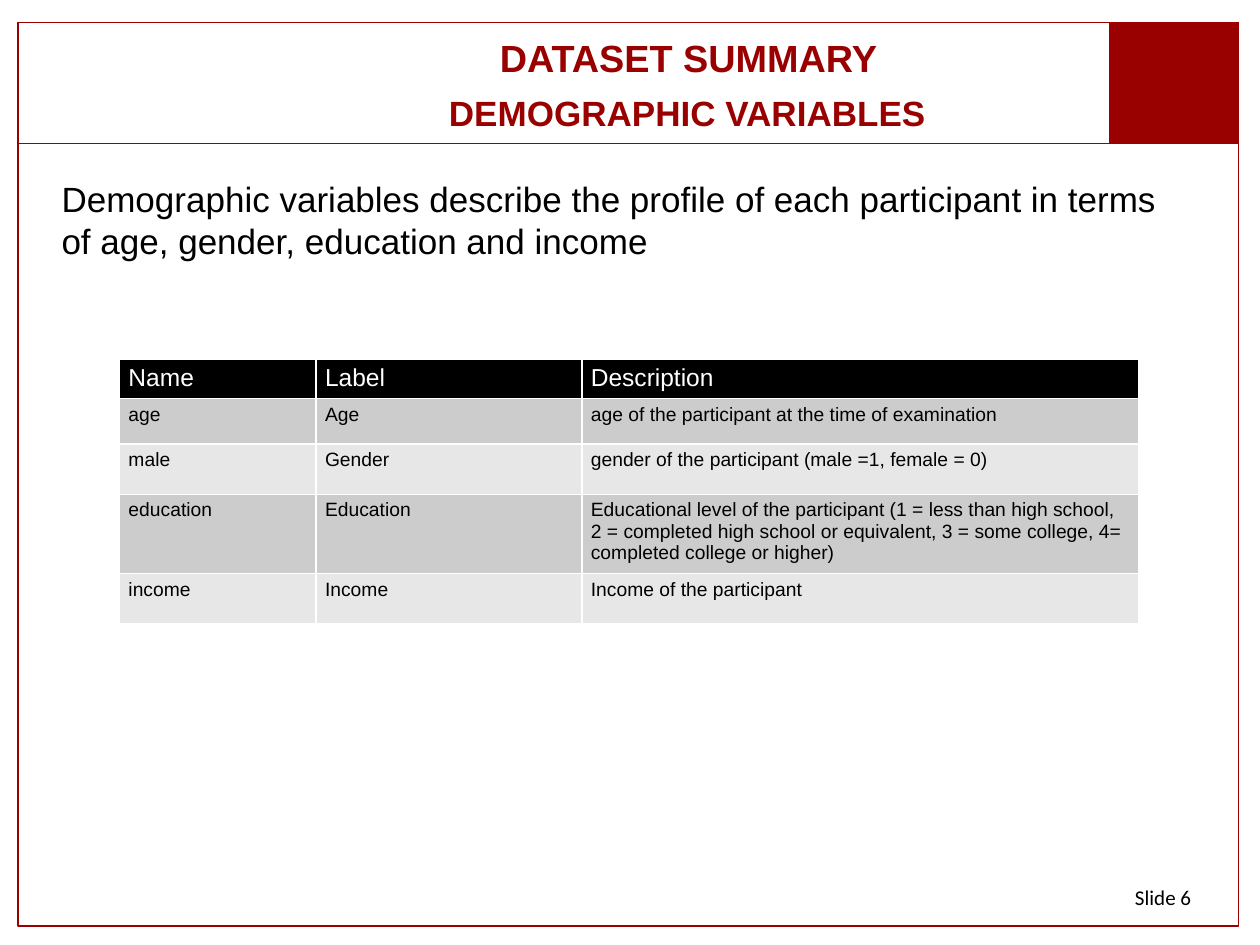
"""Build the demographic variables slide of a dataset summary."""
from pptx import Presentation
from pptx.dml.color import RGBColor
from pptx.enum.shapes import MSO_SHAPE
from pptx.enum.text import MSO_ANCHOR, PP_ALIGN
from pptx.util import Inches, Pt

RECT = MSO_SHAPE.RECTANGLE
TOP, MIDDLE = MSO_ANCHOR.TOP, MSO_ANCHOR.MIDDLE
LEFT, CENTER = PP_ALIGN.LEFT, PP_ALIGN.CENTER
RED = RGBColor(0x99, 0x00, 0x00)
BLACK = RGBColor(0x00, 0x00, 0x00)
WHITE = RGBColor(0xFF, 0xFF, 0xFF)
BANDS = (RGBColor(0xE7, 0xE7, 0xE7), RGBColor(0xCC, 0xCC, 0xCC))

TITLE = "DATASET SUMMARY"
SUBTITLE = "DEMOGRAPHIC VARIABLES"
INTRO = ("Demographic variables describe the profile of each participant "
         "in terms of age, gender, education and income")
FOOTER = "Slide 6"
ROWS = [
    ("Name", "Label", "Description"),
    ("age", "Age", "age of the participant at the time of examination"),
    ("male", "Gender", "gender of the participant (male =1, female = 0)"),
    ("education", "Education",
     "Educational level of the participant (1 = less than high school, "
     "2 = completed high school or equivalent, 3 = some college, "
     "4= completed college or higher)"),
    ("income", "Income", "Income of the participant"),
]
COL_WIDTHS = (1.56, 2.11, 4.42)
ROW_HEIGHTS = (0.28, 0.36, 0.4, 0.4, 0.4)
FRAMES = [
    ((0.14, 0.18, 9.69, 7.17), False),
    ((0.14, 0.18, 9.69, 0.96), False),
    ((8.81, 0.18, 1.02, 0.96), True),
]


def box(values):
    return [Inches(v) for v in values]


def write(tf, text, size, color, bold=False, align=LEFT, font="Arial"):
    tf.text = text
    tf.word_wrap = True
    p = tf.paragraphs[0]
    p.alignment = align
    f = p.runs[0].font
    f.name, f.size, f.bold = font, Pt(size), bold
    f.color.rgb = color


def add_text(s, place, text, size, color, anchor=TOP, **style):
    tf = s.shapes.add_textbox(*box(place)).text_frame
    write(tf, text, size, color, **style)
    tf.vertical_anchor = anchor


def add_frame(s, place, filled):
    sp = s.shapes.add_shape(RECT, *box(place))
    sp.shadow.inherit = False
    sp.line.color.rgb = RED
    sp.line.width = Pt(1)
    if filled:
        sp.fill.solid()
        sp.fill.fore_color.rgb = RED
    else:
        sp.fill.background()


def add_variables(s):
    place = (0.95, 2.85, sum(COL_WIDTHS), sum(ROW_HEIGHTS))
    table = s.shapes.add_table(len(ROWS), len(COL_WIDTHS), *box(place)).table
    for col, width in zip(table.columns, COL_WIDTHS):
        col.width = Inches(width)
    for i, (values, height) in enumerate(zip(ROWS, ROW_HEIGHTS)):
        table.rows[i].height = Inches(height)
        size, color, fill = (11, BLACK, BANDS[i % 2]) if i else (14, WHITE, BLACK)
        for j, value in enumerate(values):
            cell = table.cell(i, j)
            cell.margin_left = cell.margin_right = Inches(0.07)
            cell.margin_top = cell.margin_bottom = Inches(0.04)
            cell.fill.solid()
            cell.fill.fore_color.rgb = fill
            write(cell.text_frame, value, size, color)


def main():
    prs = Presentation()
    prs.slide_width, prs.slide_height = Inches(10), Inches(7.5)
    s = prs.slides.add_slide(prs.slide_layouts[5])
    for place, filled in FRAMES:
        add_frame(s, place, filled)
    title = s.shapes.title
    title.left, title.top, title.width, title.height = box((2.23, 0.22, 6.47, 0.47))
    write(title.text_frame, TITLE, 21.6, RED, bold=True, align=CENTER)
    title.text_frame.vertical_anchor = MIDDLE
    add_text(s, (2.22, 0.69, 6.47, 0.41), SUBTITLE, 20, RED, MIDDLE,
             bold=True, align=CENTER)
    add_text(s, (0.39, 1.36, 9, 0.83), INTRO, 20, BLACK)
    add_variables(s)
    add_text(s, (8.91, 6.97, 1, 0.3), FOOTER, 12, BLACK, font="Calibri")
    prs.save("out.pptx")


if __name__ == "__main__":
    main()
